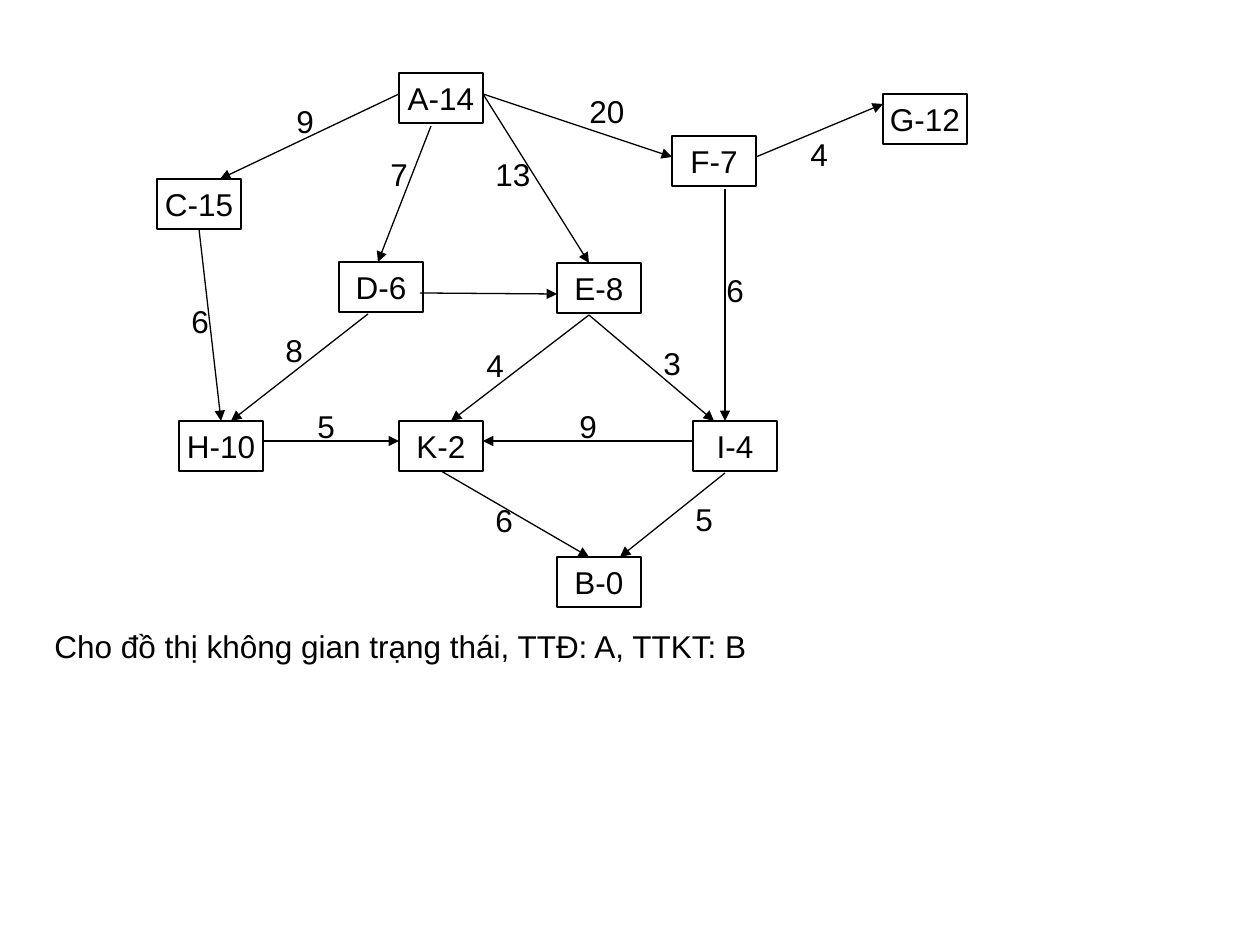
import pptx
import pptx.util
import pptx.dml.color
import pptx.enum.shapes
import pptx.enum.text
import pptx.oxml.ns
from lxml import etree

PX = 914400 / 126
NODE_W, NODE_H = 84, 50
LABEL_W = 63
# Middle of each side of a node, and its connection site
SITES = {(42, 0): 0, (0, 25): 1, (42, 50): 2, (84, 25): 3}

# Name: (text, left, top)
NODES = {
    "A": ("A-14", 242, 0),
    "C": ("C-15", 0, 106),
    "D": ("D-6", 182, 189),
    "E": ("E-8", 400, 190),
    "F": ("F-7", 515, 63),
    "G": ("G-12", 726, 21),
    "H": ("H-10", 22, 348),
    "K": ("K-2", 242, 348),
    "I": ("I-4", 536, 348),
    "B": ("B-0", 400, 484),
}
# From node, point on it, to node, point on it, cost, cost label position
EDGES = [
    ("I", (32, 52), "B", (63, 0), "5", (526, 421)),
    ("K", (42, 50), "B", (32, 0), "6", (326, 422)),
    ("I", (0, 20), "K", (84, 20), "9", (410, 328)),
    ("E", (32, 52), "K", (52, 0), "4", (317, 267)),
    ("E", (32, 52), "I", (21, 0), "3", (494, 265)),
    ("H", (84, 20), "K", (0, 20), "5", (148, 328)),
    ("D", (29, 52), "H", (52, 0), "8", (116, 252)),
    ("D", (81, 31), "E", (0, 31), None, None),
    ("C", (42, 50), "H", (42, 0), "6", (22, 223)),
    ("A", (0, 21), "C", (63, 0), "9", (127, 23)),
    ("A", (32, 53), "D", (39, 0), "7", (221, 76)),
    ("A", (84, 21), "E", (32, 0), "13", (326, 76)),
    ("A", (84, 21), "F", (0, 21), "20", (420, 13)),
    ("F", (84, 21), "G", (0, 10), "4", (641, 56)),
    ("F", (53, 53), "I", (32, 0), "6", (557, 192)),
]


def px(*lengths):
    return [round(n * PX) for n in lengths]


def rgb(hex_color):
    return pptx.dml.color.RGBColor.from_string(hex_color)


def set_line(line):
    line.color.rgb = rgb("000000")
    line.width = pptx.util.Pt(0.75)


def set_text(sp, text, align, side_inset):
    tf = sp.text_frame
    tf.word_wrap = True
    tf.auto_size = pptx.enum.text.MSO_AUTO_SIZE.SHAPE_TO_FIT_TEXT
    tf.vertical_anchor = pptx.enum.text.MSO_ANCHOR.TOP
    tf.margin_left = tf.margin_right = pptx.util.Inches(side_inset)
    p = tf.paragraphs[0]
    p.text = text
    p.alignment = align
    p.space_before = pptx.util.Pt(11.2)
    p.font.name = "Arial"
    p.font.size = pptx.util.Pt(18)
    p.font.color.rgb = rgb("000000")


def add_label(slide, text, left, top, width):
    sp = slide.shapes.add_textbox(*px(left, top, width, NODE_H))
    set_text(sp, text, pptx.enum.text.PP_ALIGN.LEFT, 0.1)


def add_node(slide, text, left, top):
    sp = slide.shapes.add_shape(
        pptx.enum.shapes.MSO_SHAPE.RECTANGLE, *px(left, top, NODE_W, NODE_H))
    sp.shadow.inherit = False
    sp.fill.background()
    set_line(sp.line)
    set_text(sp, text, pptx.enum.text.PP_ALIGN.CENTER, 0)
    return sp


def add_arrow(slide, start, start_offset, end, end_offset):
    """Draw an arrow between two nodes, joined where it meets a side's middle."""
    x1, y1 = px(*start_offset)
    x2, y2 = px(*end_offset)
    line = slide.shapes.add_connector(
        pptx.enum.shapes.MSO_CONNECTOR.STRAIGHT,
        start.left + x1, start.top + y1, end.left + x2, end.top + y2)
    if start_offset in SITES:
        line.begin_connect(start, SITES[start_offset])
    if end_offset in SITES:
        line.end_connect(end, SITES[end_offset])
    set_line(line.line)
    qn = pptx.oxml.ns.qn
    etree.SubElement(line.line._get_or_add_ln(), qn("a:tailEnd"), type="triangle")
    etree.SubElement(line._element.spPr, qn("a:effectLst"))


def add_graph(slide, left, top):
    nodes = {name: add_node(slide, text, left + x, top + y)
             for name, (text, x, y) in NODES.items()}
    for start, start_offset, end, end_offset, _, _ in EDGES:
        add_arrow(slide, nodes[start], start_offset, nodes[end], end_offset)
    for *_, cost, position in EDGES:
        if cost:
            x, y = position
            add_label(slide, cost, left + x, top + y, LABEL_W)


def main():
    prs = pptx.Presentation()
    prs.slide_width, prs.slide_height = px(1260, 945)
    slide = prs.slides.add_slide(prs.slide_layouts[6])
    add_graph(slide, 157, 73)
    add_label(slide, "Cho đồ thị không gian trạng thái, TTĐ: A, TTKT: B", 42, 621, 1166)
    prs.save("out.pptx")


if __name__ == "__main__":
    main()
